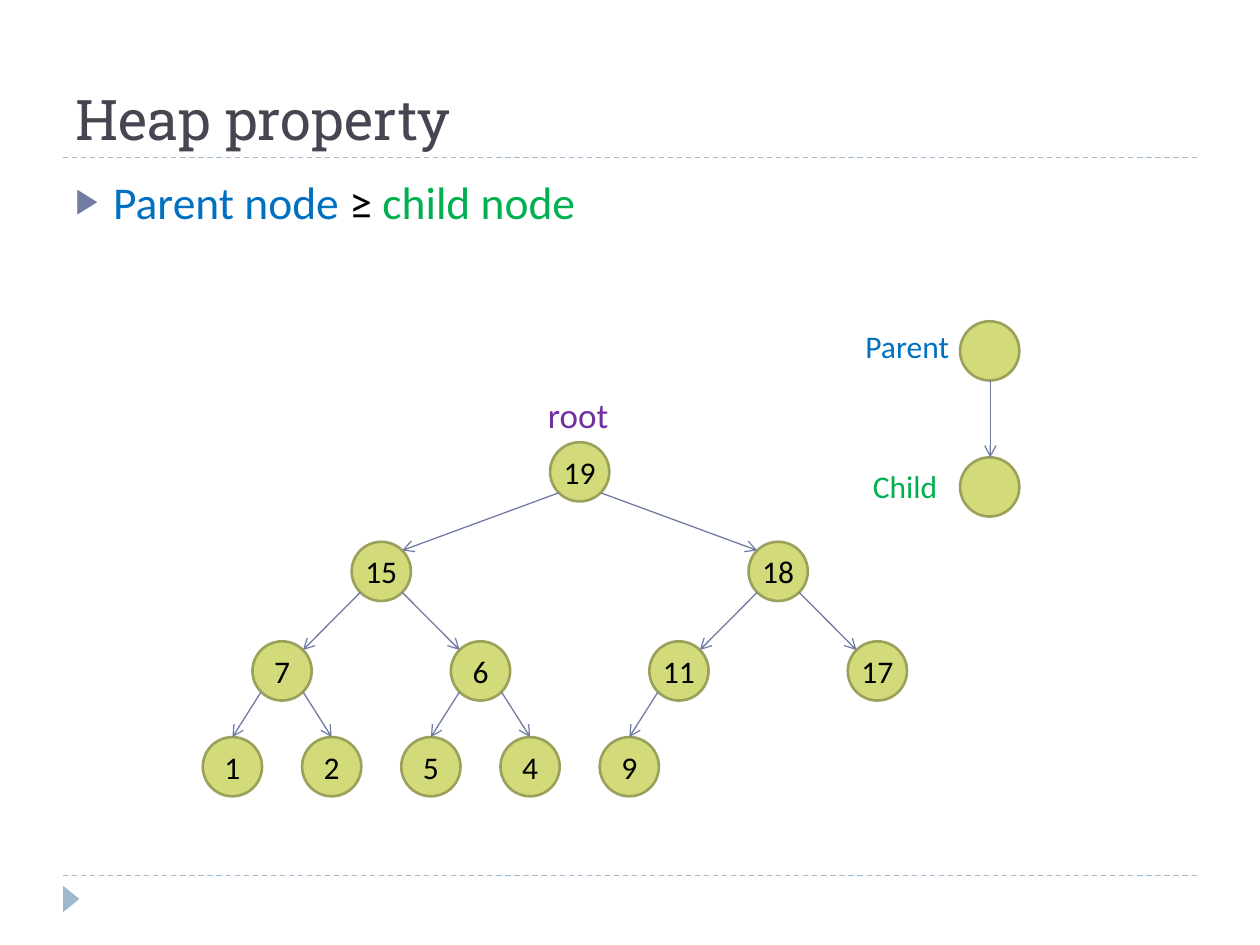
import math
import pptx
import pptx.util
import pptx.dml.color
import pptx.enum.dml
import pptx.enum.shapes
import pptx.enum.text
import pptx.oxml.ns
from lxml import etree

Inches, Pt = pptx.util.Inches, pptx.util.Pt
RGB = pptx.dml.color.RGBColor
SHAPE = pptx.enum.shapes.MSO_SHAPE
ANCHOR = pptx.enum.text.MSO_ANCHOR
qn = pptx.oxml.ns.qn

BLACK = RGB(0x00, 0x00, 0x00)
SLATE = RGB(0x46, 0x46, 0x53)
BLUE = RGB(0x00, 0x70, 0xC0)
GREEN = RGB(0x00, 0xB0, 0x50)
PURPLE = RGB(0x70, 0x30, 0xA0)
RULE = RGB(0x9F, 0xB8, 0xCD)
ARROW = RGB(0x72, 0x7C, 0xA3)
NODE_FILL = RGB(0xD2, 0xDA, 0x7A)
NODE_LINE = RGB(0x9B, 0xA1, 0x5A)

prs = pptx.Presentation()
prs.slide_width, prs.slide_height = Inches(10), Inches(7.5)
s = prs.slides.add_slide(prs.slide_layouts[6])


def add_line(x1, y1, x2, y2, color, arrow=False):
    c = s.shapes.add_connector(pptx.enum.shapes.MSO_CONNECTOR.STRAIGHT,
                               Inches(x1), Inches(y1), Inches(x2), Inches(y2))
    c.line.color.rgb = color
    c.line.width = Pt(0.75)
    if arrow:
        etree.SubElement(c.line._get_or_add_ln(), qn("a:tailEnd"), type="arrow")
    else:
        c.line.dash_style = pptx.enum.dml.MSO_LINE.DASH
    etree.SubElement(c._element.spPr, qn("a:effectLst"))


def add_node(x, y, label=""):
    sp = s.shapes.add_shape(SHAPE.OVAL, Inches(x), Inches(y), Inches(D), Inches(D))
    sp.shadow.inherit = False
    sp.fill.solid()
    sp.fill.fore_color.rgb = NODE_FILL
    sp.line.color.rgb = NODE_LINE
    sp.line.width = Pt(1.5)
    if label:
        tf = sp.text_frame
        tf.margin_left = tf.margin_right = tf.margin_top = tf.margin_bottom = 0
        tf.vertical_anchor = ANCHOR.MIDDLE
        tf.text = label
        p = tf.paragraphs[0]
        p.alignment = pptx.enum.text.PP_ALIGN.CENTER
        f = p.runs[0].font
        f.name, f.size, f.color.rgb = "Calibri", Pt(18), BLACK


# Rules and corner marker
for y in (6.95, 1.25):
    add_line(0.5, y, 9.5, y, RULE)
sp = s.shapes.add_shape(SHAPE.ISOSCELES_TRIANGLE, Inches(0.46), Inches(7.07),
                        Inches(0.21), Inches(0.13))
sp.rotation = 90
sp.shadow.inherit = False
sp.fill.solid()
sp.fill.fore_color.rgb = RULE
sp.line.fill.background()

# Text: box, font, size, wrap, anchor, runs
texts = [
    ((0.5, 0.17, 9, 1.08), "Roboto Slab", 32, True, ANCHOR.BOTTOM, [("Heap property", SLATE)]),
    ((0.5, 1.33, 9, 5.4), "Calibri", 26, True, ANCHOR.TOP,
     [("Parent node ", BLUE), ("≥ ", BLACK), ("child node", GREEN)]),
    ((4.25, 3.07, 0.75, 0.44), "Calibri", 20, False, ANCHOR.TOP, [("root", PURPLE)]),
    ((6.77, 2.55, 0.92, 0.4), "Calibri", 18, False, ANCHOR.TOP, [("Parent", BLUE)]),
    ((6.83, 3.66, 0.8, 0.4), "Calibri", 18, False, ANCHOR.TOP, [("Child", GREEN)]),
]
paragraphs = []
for box, font, size, wrap, anchor, runs in texts:
    tf = s.shapes.add_textbox(*map(Inches, box)).text_frame
    tf.word_wrap = wrap
    tf.vertical_anchor = anchor
    if not wrap:
        tf.auto_size = pptx.enum.text.MSO_AUTO_SIZE.SHAPE_TO_FIT_TEXT
    p = tf.paragraphs[0]
    for text, color in runs:
        r = p.add_run()
        r.text = text
        r.font.name, r.font.size, r.font.color.rgb = font, Pt(size), color
    paragraphs.append(p)

# Bullet of the statement
p = paragraphs[1]
p.space_before = Pt(6)
pPr = p._p.get_or_add_pPr()
pPr.set("marL", str(Inches(0.3)))
pPr.set("indent", str(Inches(-0.3)))
color = etree.SubElement(pPr, qn("a:buClr"))
etree.SubElement(color, qn("a:srgbClr"), val=str(ARROW))
etree.SubElement(pPr, qn("a:buSzPct"), val="76000")
etree.SubElement(pPr, qn("a:buFont"), typeface="Arial")
etree.SubElement(pPr, qn("a:buChar"), char="▶")

# Heap: the children of node i are 2i + 1 and 2i + 2
D = 0.47
LEFT, PITCH = 1.61, 6.3 / 8
LEVELS = [3.51, 4.3, 5.09, 5.85]
heap = [19, 15, 18, 7, 6, 11, 17, 1, 2, 5, 4, 9]
centers = []
for i, value in enumerate(heap):
    depth = int(math.log2(i + 1))
    column = i + 1 - 2 ** depth
    x = LEFT + PITCH * (2 ** (3 - depth) * (column + 0.5) - 0.5)
    add_node(x, LEVELS[depth], str(value))
    centers.append((x + D / 2, LEVELS[depth] + D / 2))

# Arrows leave at 45 degrees and reach the leaves at the top
diagonal = D / 2 * math.sqrt(0.5)
for i in range(1, len(heap)):
    (px, py), (cx, cy) = centers[(i - 1) // 2], centers[i]
    side = -1 if i % 2 else 1
    if i >= 7:
        end = (cx, cy - D / 2)
    else:
        end = (cx - side * diagonal, cy - diagonal)
    add_line(px + side * diagonal, py + diagonal, *end, ARROW, arrow=True)

# Legend
for y in (2.55, 3.63):
    add_node(7.62, y)
add_line(7.86, 3.02, 7.86, 3.63, ARROW, arrow=True)

prs.save("out.pptx")
